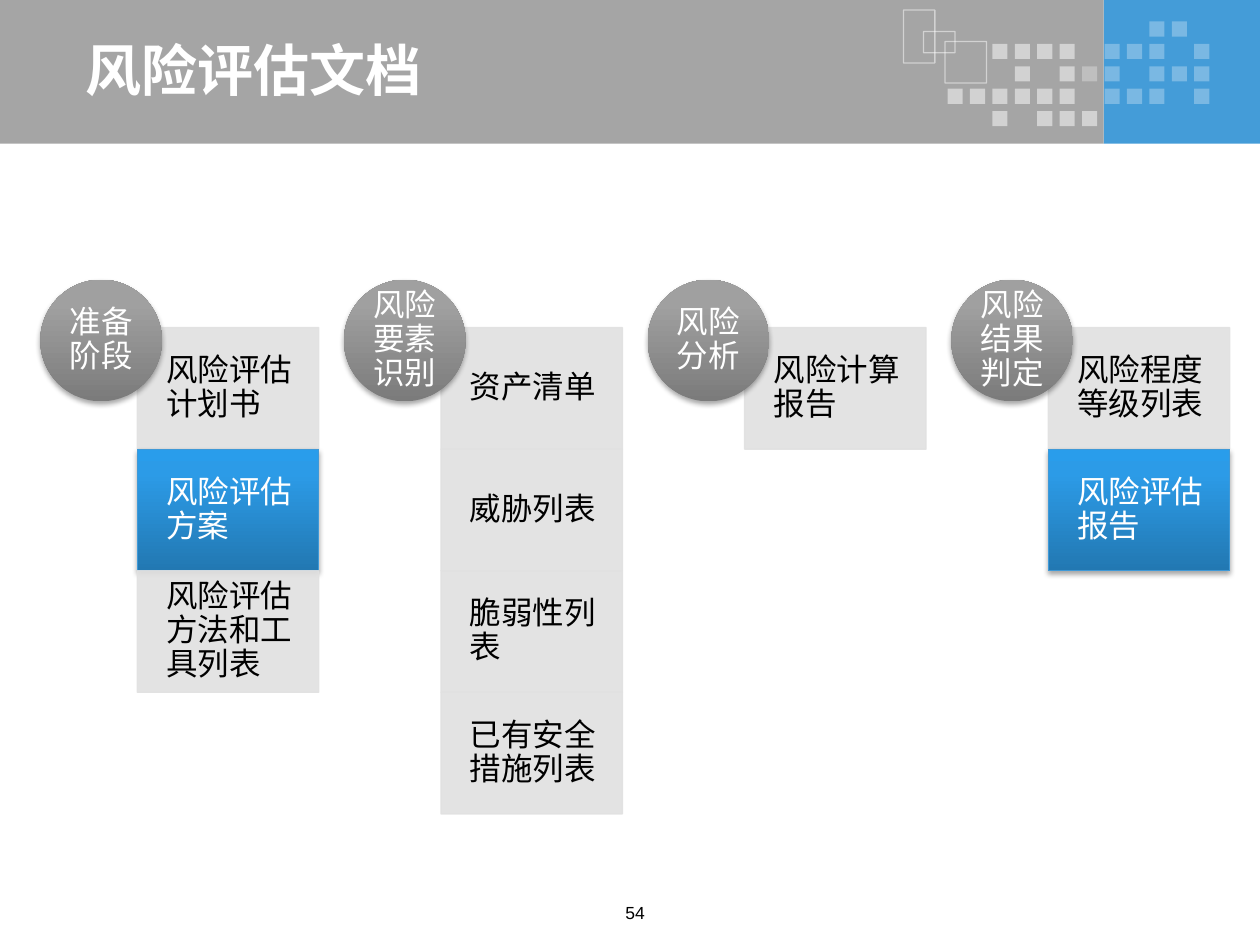
import typing
from dataclasses import dataclass

import pptx
import pptx.dml.color
import pptx.enum.shapes
import pptx.enum.text
import pptx.util
from lxml import etree
from pptx.oxml.ns import qn

Inches = pptx.util.Inches
Pt = pptx.util.Pt
Kind = pptx.enum.shapes.MSO_SHAPE
Align = pptx.enum.text.PP_ALIGN
Anchor = pptx.enum.text.MSO_ANCHOR

COLORS = {
    "white": "FFFFFF", "black": "000000", "blue": "449CD8", "gray": "A5A5A5",
    "pale": "E1E1E1", "edge": "3F99D7",
}
# Gradient stops run from bottom to top
BLUES = ((0, "2278B2"), (80, "2C9BE7"), (100, "299DEB"))
GRAYS = ((0, "7B7B7B"), (80, "A0A0A0"), (100, "A1A1A1"))
SANS = "Noto Sans CJK SC"


@dataclass
class Item:
    text: str
    key: bool = False


@dataclass
class Stage:
    name: str
    items: list[Item]


STAGES = [
    Stage("准备阶段", [Item("风险评估计划书"), Item("风险评估方案", True),
                   Item("风险评估方法和工具列表")]),
    Stage("风险要素识别", [Item("资产清单"), Item("威胁列表"),
                     Item("脆弱性列表"), Item("已有安全措施列表")]),
    Stage("风险分析", [Item("风险计算报告")]),
    Stage("风险结果判定", [Item("风险程度等级列表"), Item("风险评估报告", True)]),
]

# Header mosaic: "#" strong square, "o" faint square
MOSAIC = [
    ".........oo.",
    "..####.ooo.o",
    "...#.#oo.ooo",
    "######.ooo.o",
    "..#.###.....",
]
ALPHAS = {"#": 50, "o": 29}


def tint(color: str) -> pptx.dml.color.RGBColor:
    return pptx.dml.color.RGBColor.from_string(COLORS[color])


def fade(shape: typing.Any, alpha: int) -> None:
    """Make every solid colour of a shape partly transparent."""
    for node in shape.element.spPr.iter(qn("a:srgbClr")):
        etree.SubElement(node, qn("a:alpha"), val=str(alpha * 1000))


def blend(shape: typing.Any, stops: tuple) -> None:
    shape.fill.gradient()
    shape.fill.gradient_angle = 90
    group = shape.element.spPr.find(".//" + qn("a:gsLst"))
    for old in list(group):
        group.remove(old)
    for pos, color in stops:
        stop = etree.SubElement(group, qn("a:gs"), pos=str(pos * 1000))
        etree.SubElement(stop, qn("a:srgbClr"), val=color)


def shade(shape: typing.Any) -> None:
    effects = shape.element.spPr.find(qn("a:effectLst"))
    drop = etree.SubElement(
        effects, qn("a:outerShdw"), blurRad=str(Pt(3.1)), dist=str(Pt(1.8)),
        dir="5400000", rotWithShape="0")
    color = etree.SubElement(drop, qn("a:srgbClr"), val=COLORS["black"])
    etree.SubElement(color, qn("a:alpha"), val="35000")


def draw(slide: typing.Any, box: tuple, kind: Kind = Kind.RECTANGLE,
         fill: str | None = None, stops: tuple | None = None,
         line: str | None = None, alpha: int = 100) -> typing.Any:
    shape = slide.shapes.add_shape(kind, *map(Inches, box))
    shape.shadow.inherit = False
    if stops:
        blend(shape, stops)
        shade(shape)
    elif fill:
        shape.fill.solid()
        shape.fill.fore_color.rgb = tint(fill)
    else:
        shape.fill.background()
    if line:
        shape.line.color.rgb = tint(line)
        shape.line.width = Pt(0.75)
    else:
        shape.line.fill.background()
    if alpha < 100:
        fade(shape, alpha)
    return shape


def write(shape: typing.Any, text: str, size: float = 18, color: str = "black",
          face: str = SANS, bold: bool = False, align: Align = Align.LEFT,
          anchor: Anchor = Anchor.MIDDLE, space: float = 1,
          inset: tuple = (0.1, 0.05, 0.1, 0.05)) -> None:
    frame = shape.text_frame
    frame.word_wrap = True
    frame.vertical_anchor = anchor
    (frame.margin_left, frame.margin_top,
     frame.margin_right, frame.margin_bottom) = map(Inches, inset)
    para = frame.paragraphs[0]
    para.alignment = align
    para.line_spacing = space
    run = para.add_run()
    run.text = text
    font = run.font
    font.size, font.bold, font.name = Pt(size), bold, face
    font.color.rgb = tint(color)
    latin = run.font._element.find(qn("a:latin"))
    latin.addnext(etree.Element(qn("a:ea"), typeface=face))


def header(slide: typing.Any) -> None:
    draw(slide, (8.76, 0, 1.24, 1.14), fill="blue")
    draw(slide, (0, 0, 8.76, 1.14), fill="gray")
    step = 0.178
    for row, marks in enumerate(MOSAIC):
        for col, mark in enumerate(marks):
            if mark in ALPHAS:
                box = (7.52 + col * step, 0.17 + row * step, 0.12, 0.12)
                draw(slide, box, fill="white", alpha=ALPHAS[mark])
    for box in ((7.17, 0.08, 0.25, 0.42), (7.33, 0.25, 0.25, 0.17),
                (7.5, 0.33, 0.33, 0.33)):
        draw(slide, box, line="white", alpha=50)


def column(slide: typing.Any, stage: Stage, left: float) -> None:
    side = 0.965
    for row, item in enumerate(stage.items):
        box = (left + 0.77, 2.6 + row * side, 1.44, side)
        if item.key:
            cell = draw(slide, box, stops=BLUES, line="edge")
        else:
            cell = draw(slide, box, fill="pale", line="pale", alpha=90)
        write(cell, item.text, color="white" if item.key else "black",
              space=0.9, inset=(0.23, 0.14, 0.14, 0.14))
    disc = draw(slide, (left, 2.22, side, side), Kind.OVAL, stops=GRAYS)
    write(disc, stage.name, color="white", align=Align.CENTER, space=0.9,
          inset=(0, 0, 0, 0))


def main() -> None:
    deck = pptx.Presentation()
    deck.slide_width, deck.slide_height = Inches(10), Inches(7.5)
    slide = deck.slides.add_slide(deck.slide_layouts[5])
    header(slide)

    # Title, raised above the header band
    title = slide.shapes.title
    title.left, title.top = Inches(0.58), Inches(0.28)
    title.width, title.height = Inches(7.76), Inches(0.53)
    write(title, "风险评估文档", size=32, color="white", bold=True)
    slide.shapes._spTree.append(title.element)

    # Page number
    page = slide.shapes.add_textbox(*map(Inches, (4.58, 7.11, 0.92, 0.29)))
    write(page, "54", size=10, face="Arial", align=Align.CENTER,
          anchor=Anchor.TOP)

    # Stages with their documents
    for index, stage in enumerate(STAGES):
        column(slide, stage, 0.32 + index * 2.41)

    deck.save("out.pptx")


if __name__ == "__main__":
    main()
